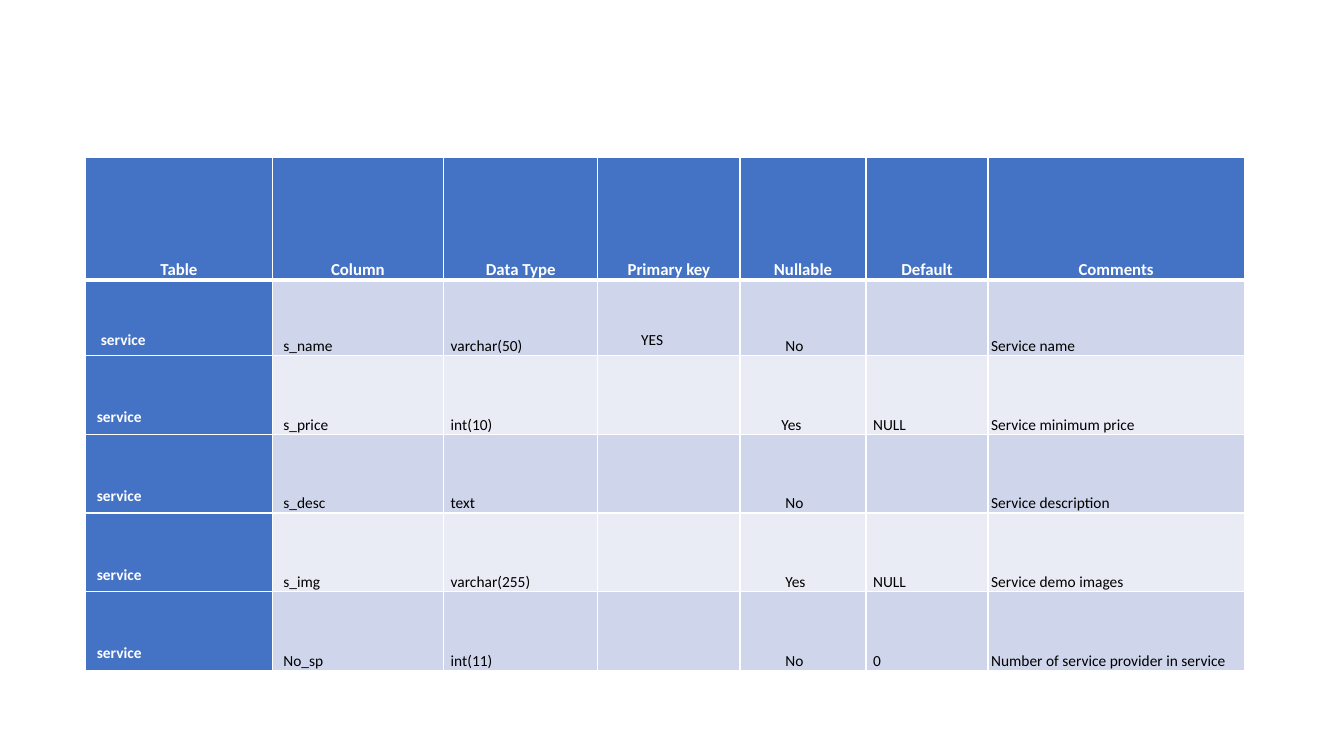
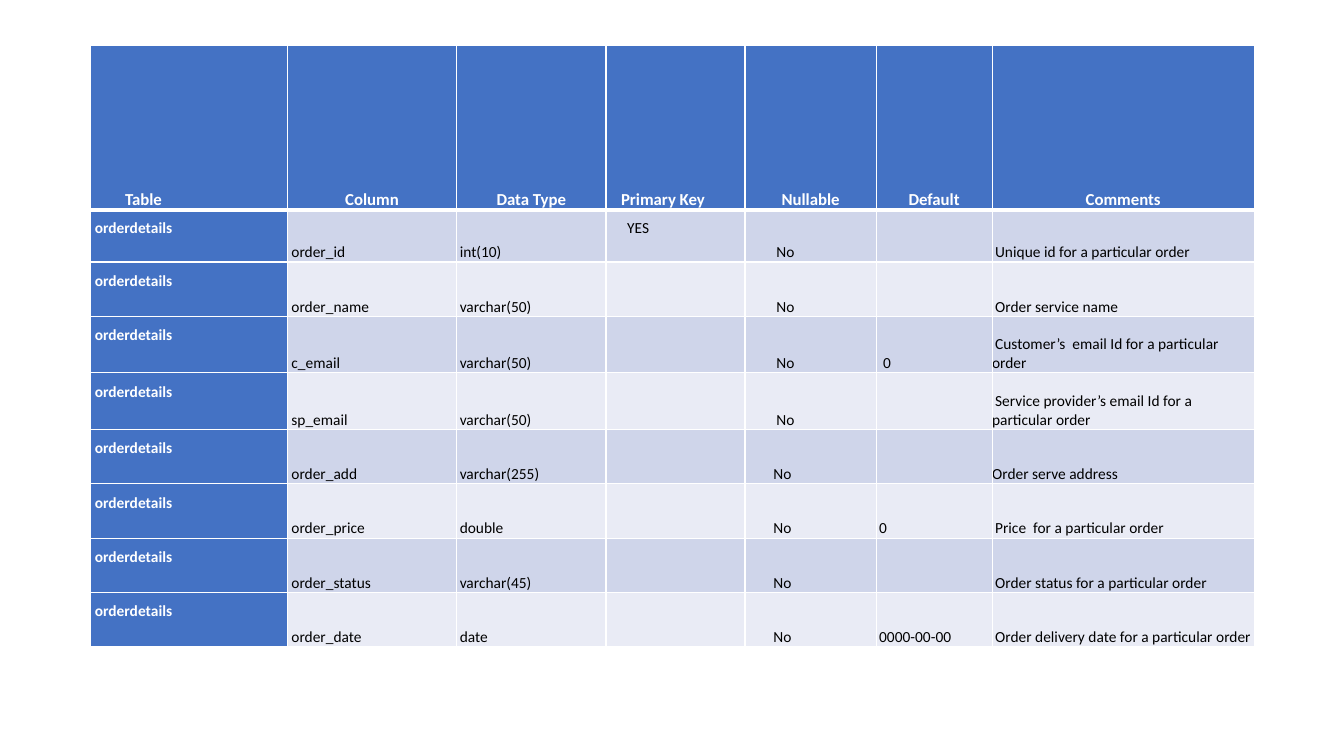
"""Builds two slides that describe database tables."""
from dataclasses import dataclass
from lxml import etree
from pptx import Presentation
from pptx import util as u
from pptx.dml.color import RGBColor
from pptx.enum import text
from pptx.oxml.ns import qn


@dataclass(frozen=True)
class Theme:
    """Colours, font and type sizes shared by the slides."""
    accent: str = "4472C4"
    bands: tuple = ("CFD5EA", "E9EBF5")
    light: str = "FFFFFF"
    dark: str = "000000"
    font: str = "Calibri"
    header_size: int = 12
    body_size: int = 11
    first_leading: float = 9.9
    leading: float = 10.2
    rule: int = 1
    header_rule: int = 3


@dataclass(frozen=True)
class Layout:
    """Position, grid and first-line indents of one table."""
    left: float
    top: float
    columns: tuple
    rows: tuple
    indents: tuple
    lead_lines: int
    exceptions: dict
    header_indents: dict


class SchemaDeck:
    """Holds the theme, the presentation and the current slide."""

    def __init__(self, theme):
        """Start an empty widescreen presentation."""
        self.theme = theme
        self.presentation = Presentation()
        self.presentation.slide_width = u.Inches(13.33)
        self.presentation.slide_height = u.Inches(7.5)
        self.slide = None

    def add_slide(self):
        """Make a blank slide the current one."""
        self.slide = self.presentation.slides.add_slide(self.presentation.slide_layouts[6])

    def add_table(self, layout, records):
        """Add a table with a header row and a key column."""
        frame = self.slide.shapes.add_table(
            len(records), len(layout.columns), u.Inches(layout.left), u.Inches(layout.top),
            u.Inches(sum(layout.columns)), u.Inches(sum(layout.rows)))
        table = frame.table
        table.first_col = True
        for column, width in zip(table.columns, layout.columns):
            column.width = u.Inches(width)
        for row, height in zip(table.rows, layout.rows):
            row.height = u.Inches(height)
        for row, record in enumerate(records):
            for column, words in enumerate(record):
                cell = table.cell(row, column)
                self.style_cell(cell, row, column)
                if not words:
                    continue
                if row == 0:
                    self.set_header(cell, words, layout.header_indents.get(column))
                else:
                    indent = layout.exceptions.get((row, column), layout.indents[column])
                    self.set_body(cell, words, row, column, indent, layout.lead_lines)

    def style_cell(self, cell, row, column):
        """Set margins, borders and fill of a cell."""
        theme = self.theme
        cell.margin_left = cell.margin_right = cell.margin_top = cell.margin_bottom = 0
        widths = {"a:lnL": theme.rule, "a:lnR": theme.rule,
                  "a:lnT": theme.header_rule if row == 1 else theme.rule,
                  "a:lnB": theme.header_rule if row == 0 else theme.rule}
        properties = cell._tc.get_or_add_tcPr()
        for side, width in widths.items():
            line = etree.SubElement(properties, qn(side), w=str(u.Pt(width)))
            fill = etree.SubElement(line, qn("a:solidFill"))
            etree.SubElement(fill, qn("a:srgbClr"), val=theme.light)
        colour = theme.accent if row == 0 or column == 0 else theme.bands[(row - 1) % 2]
        cell.fill.solid()
        cell.fill.fore_color.rgb = RGBColor.from_string(colour)

    def set_header(self, cell, words, indent):
        """Set a heading, centred unless an indent is given."""
        paragraph = self.set_text(cell, words, self.theme.header_size, True, indent or 0)
        if indent is None:
            paragraph.alignment = text.PP_ALIGN.CENTER

    def set_body(self, cell, words, row, column, indent, lead_lines):
        """Set a value, with key columns placed below a lead of empty space."""
        theme = self.theme
        leading = theme.first_leading if row == 1 else theme.leading
        paragraph = self.set_text(cell, words, theme.body_size, column == 0, indent)
        if column < len(HEADINGS) - 1:
            paragraph.line_spacing = u.Pt(leading)
        if column in KEY_COLUMNS:
            cell.vertical_anchor = text.MSO_ANCHOR.TOP
            cell.margin_top = u.Pt(lead_lines * leading)

    def set_text(self, cell, words, size, strong, indent):
        """Put bottom-anchored text in a cell and return its paragraph."""
        theme = self.theme
        cell.vertical_anchor = text.MSO_ANCHOR.BOTTOM
        paragraph = cell.text_frame.paragraphs[0]
        paragraph.text = words
        paragraph._p.get_or_add_pPr().set("indent", str(u.Inches(indent)))
        font = paragraph.runs[0].font
        font.name, font.size, font.bold = theme.font, u.Pt(size), strong
        font.color.rgb = RGBColor.from_string(theme.light if strong else theme.dark)
        return paragraph


HEADINGS = ("Table", "Column", "Data Type", "Primary key", "Nullable", "Default", "Comments")
KEY_COLUMNS = (0, 3)

SERVICE_LAYOUT = Layout(
    left=0.85, top=1.56,
    columns=(1.85, 1.7, 1.53, 1.41, 1.25, 1.21, 2.54),
    rows=(1.22, 0.75) + (0.78,) * 4,
    indents=(0.11, 0.11, 0.07, 0.43, 0.45, 0.07, 0.03),
    lead_lines=4,
    exceptions={(1, 0): 0.15, (2, 4): 0.41},
    header_indents={})
SERVICE_FIELDS = (
    ("s_name", "varchar(50)", "YES", "No", "", "Service name"),
    ("s_price", "int(10)", "", "Yes", "NULL", "Service minimum price"),
    ("s_desc", "text", "", "No", "", "Service description"),
    ("s_img", "varchar(255)", "", "Yes", "NULL", "Service demo images"),
    ("No_sp", "int(11)", "", "No", "0", "Number of service provider in service"),
)

ORDER_LAYOUT = Layout(
    left=0.9, top=0.45,
    columns=(1.95, 1.68, 1.48, 1.38, 1.3, 1.15, 2.6),
    rows=(1.63, 0.52, 0.54, 0.56, 0.56) + (0.54,) * 4,
    indents=(0.04, 0.04, 0.03, 0.21, 0.28, 0.03, 0.03),
    lead_lines=1,
    exceptions={**{(row, 4): 0.31 for row in range(1, 5)}, (3, 5): 0.07, (5, 6): 0},
    header_indents={0: 0.34, 3: 0.15})
ORDER_FIELDS = (
    ("order_id", "int(10)", "YES", "No", "", "Unique id for a particular order"),
    ("order_name", "varchar(50)", "", "No", "", "Order service name"),
    ("c_email", "varchar(50)", "", "No", "0", "Customer’s  email Id for a particular order"),
    ("sp_email", "varchar(50)", "", "No", "",
     "Service provider’s email Id for a particular order"),
    ("order_add", "varchar(255)", "", "No", "", "Order serve address"),
    ("order_price", "double", "", "No", "0", "Price  for a particular order"),
    ("order_status", "varchar(45)", "", "No", "", "Order status for a particular order"),
    ("order_date", "date", "", "No", "0000-00-00",
     "Order delivery date for a particular order"),
)
ORDER_HEADINGS = HEADINGS[:3] + ("Primary Key",) + HEADINGS[4:]

deck = SchemaDeck(Theme())
for layout, headings, name, fields in (
        (SERVICE_LAYOUT, HEADINGS, "service", SERVICE_FIELDS),
        (ORDER_LAYOUT, ORDER_HEADINGS, "orderdetails", ORDER_FIELDS)):
    deck.add_slide()
    deck.add_table(layout, [headings] + [(name,) + field for field in fields])
deck.presentation.save("out.pptx")
